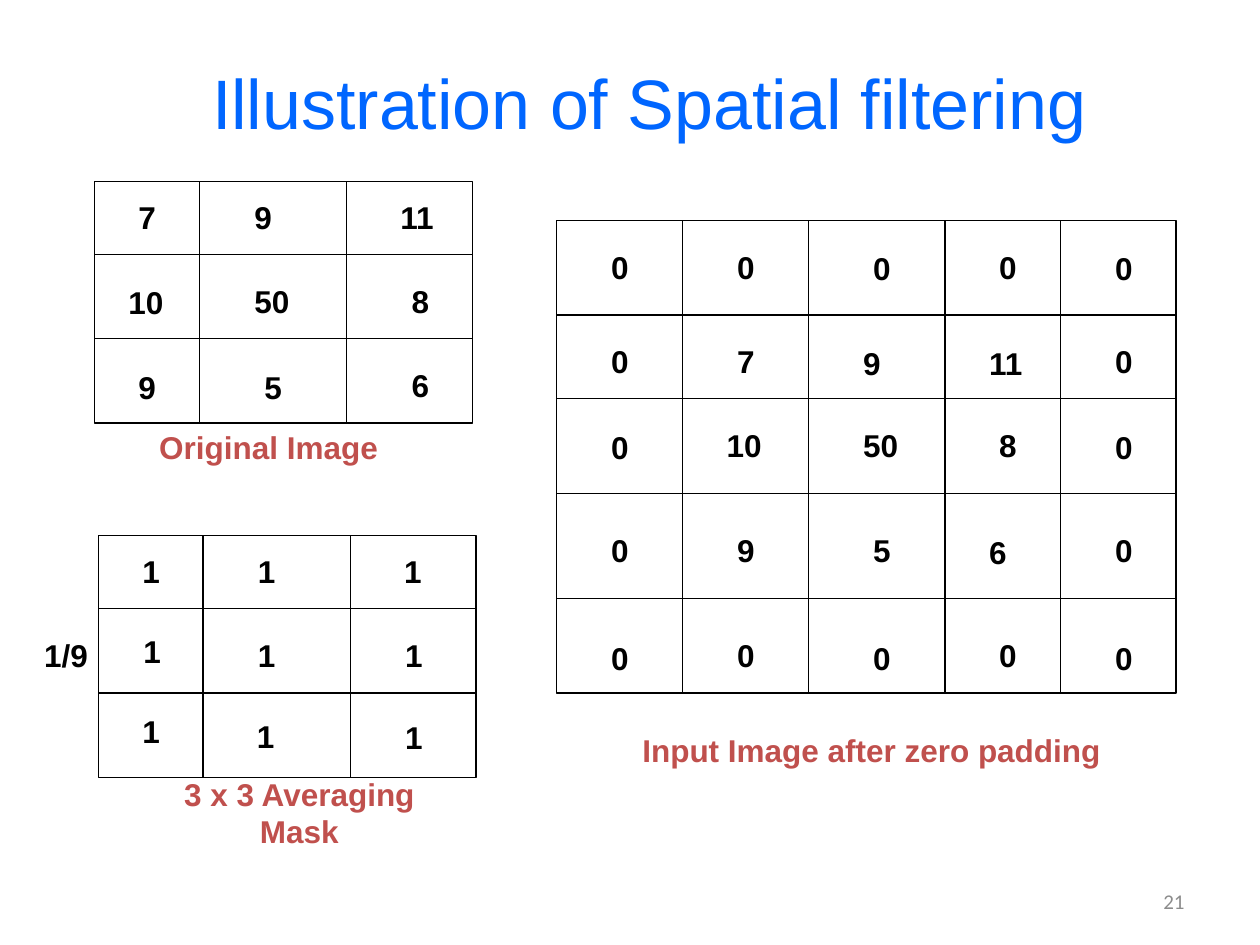
from dataclasses import dataclass

from lxml import etree
from pptx import Presentation
from pptx.dml.color import RGBColor
from pptx.enum.shapes import MSO_CONNECTOR, MSO_SHAPE
from pptx.enum.text import MSO_ANCHOR, MSO_AUTO_SIZE, PP_ALIGN
from pptx.oxml.ns import qn
from pptx.util import Cm, Pt

BLACK = RGBColor(0x00, 0x00, 0x00)
BLUE = RGBColor(0x00, 0x66, 0xFF)
RED = RGBColor(0xC0, 0x50, 0x4D)
GRAY = RGBColor(0x8C, 0x8C, 0x8C)
LEFT, CENTER, RIGHT = PP_ALIGN.LEFT, PP_ALIGN.CENTER, PP_ALIGN.RIGHT
TOP, MIDDLE = MSO_ANCHOR.TOP, MSO_ANCHOR.MIDDLE
STRAIGHT = MSO_CONNECTOR.STRAIGHT
RECT = MSO_SHAPE.RECTANGLE
NO_FIT = MSO_AUTO_SIZE.NONE
THIN = Pt(0.75)
TEXT_H = 1.02


@dataclass
class Row:
    texts: str
    lefts: tuple[float, ...]
    tops: tuple[float, ...]


@dataclass
class Grid:
    """A ruled matrix: edges of its columns and rows, then its numbers, in cm."""
    cols: tuple[float, ...]
    rows: tuple[float, ...]
    cells: tuple[Row, ...]
    width: float = 1.27


@dataclass
class Label:
    text: str
    box: tuple[float, float, float, float]
    color: RGBColor = RED
    align: PP_ALIGN = LEFT


IMAGE = Grid(
    (1.91, 4.02, 6.99, 9.53), (3.66, 5.13, 6.83, 8.53),
    (Row("7 9 11", (2.54, 4.88, 7.82), (3.86, 3.86, 3.86)),
     Row("10 50 8", (2.34, 4.88, 8.05), (5.59, 5.56, 5.56)),
     Row("9 5 6", (2.54, 5.08, 8.05), (7.29, 7.29, 7.26))))

PADDED = Grid(
    (11.22, 13.76, 16.3, 19.05, 21.38, 23.71),
    (4.45, 6.35, 8.04, 9.95, 12.07, 13.97),
    (Row("0 0 0 0 0", (12.07, 14.61, 17.35, 19.89, 22.23),
         (4.88, 4.88, 4.9, 4.88, 4.9)),
     Row("0 7 9 11 0", (12.07, 14.61, 17.15, 19.69, 22.23),
         (6.78, 6.78, 6.81, 6.81, 6.78)),
     Row("0 10 50 8 0", (12.07, 14.4, 17.15, 19.89, 22.23),
         (8.51, 8.46, 8.46, 8.46, 8.51)),
     Row("0 9 5 6 0", (12.07, 14.61, 17.35, 19.69, 22.23),
         (10.59, 10.59, 10.59, 10.62, 10.59)),
     Row("0 0 0 0 0", (12.07, 14.61, 17.35, 19.89, 22.23),
         (12.75, 12.7, 12.75, 12.7, 12.75))),
    width=1.48)

MASK = Grid(
    (1.98, 4.09, 7.06, 9.6), (10.8, 12.27, 13.97, 15.67),
    (Row("1 1 1", (2.62, 4.95, 7.9), (11, 11, 11)),
     Row("1 1 1", (2.64, 4.95, 7.92), (12.62, 12.7, 12.7)),
     Row("1 1 1", (2.62, 4.93, 7.92), (14.22, 14.33, 14.35))))

LABELS = (
    Label("1/9", (0.64, 12.7, 1.7, TEXT_H), BLACK),
    Label("Original Image", (2.96, 8.51, 5.29, TEXT_H)),
    Label("3 x 3 Averaging Mask", (3.39, 15.49, 5.29, 1.79), align=CENTER),
    Label("Input Image after zero padding", (12.7, 14.61, 11, TEXT_H)),
)


def write(shape, text, *, size=18, font="Arial", color=BLACK, bold=True,
          align=LEFT, anchor=TOP) -> None:
    frame = shape.text_frame
    frame.word_wrap = True
    frame.auto_size = NO_FIT
    frame.vertical_anchor = anchor
    para = frame.paragraphs[0]
    para.text = text
    para.alignment = align
    para.font.size = Pt(size)
    para.font.name = font
    para.font.bold = bold
    para.font.color.rgb = color


def add_text(slide, box: tuple[float, ...], text: str, **style) -> None:
    write(slide.shapes.add_textbox(*map(Cm, box)), text, **style)


def add_rule(slide, x1: float, y1: float, x2: float, y2: float) -> None:
    rule = slide.shapes.add_connector(STRAIGHT, *map(Cm, (x1, y1, x2, y2)))
    rule.line.color.rgb = BLACK
    rule.line.width = THIN
    etree.SubElement(rule._element.spPr, qn("a:effectLst"))


def draw_grid(slide, grid: Grid) -> None:
    x1, *inner_x, x2 = grid.cols
    y1, *inner_y, y2 = grid.rows
    frame = slide.shapes.add_shape(RECT, *map(Cm, (x1, y1, x2 - x1, y2 - y1)))
    frame.shadow.inherit = False
    frame.fill.background()
    frame.line.color.rgb = BLACK
    frame.line.width = THIN
    for y in inner_y:
        add_rule(slide, x1, y, x2, y)
    for x in inner_x:
        add_rule(slide, x, y1, x, y2)
    for row in grid.cells:
        for text, left, top in zip(row.texts.split(), row.lefts, row.tops):
            add_text(slide, (left, top, grid.width, TEXT_H), text)


def main() -> None:
    deck = Presentation()
    deck.slide_width, deck.slide_height = Cm(25.4), Cm(19.05)
    slide = deck.slides.add_slide(deck.slide_layouts[5])

    title = slide.shapes.title
    title.left, title.top = Cm(2.69), Cm(1.07)
    title.width, title.height = Cm(20.8), Cm(1.96)
    write(title, "Illustration of Spatial filtering", size=40, color=BLUE,
          bold=False, align=CENTER)

    for grid in (IMAGE, PADDED, MASK):
        draw_grid(slide, grid)
    for label in LABELS:
        add_text(slide, label.box, label.text, color=label.color,
                 align=label.align)
    add_text(slide, (18.2, 17.66, 5.93, TEXT_H), "21", size=12, font="Calibri",
             color=GRAY, bold=False, align=RIGHT, anchor=MIDDLE)
    deck.save("out.pptx")


if __name__ == "__main__":
    main()
